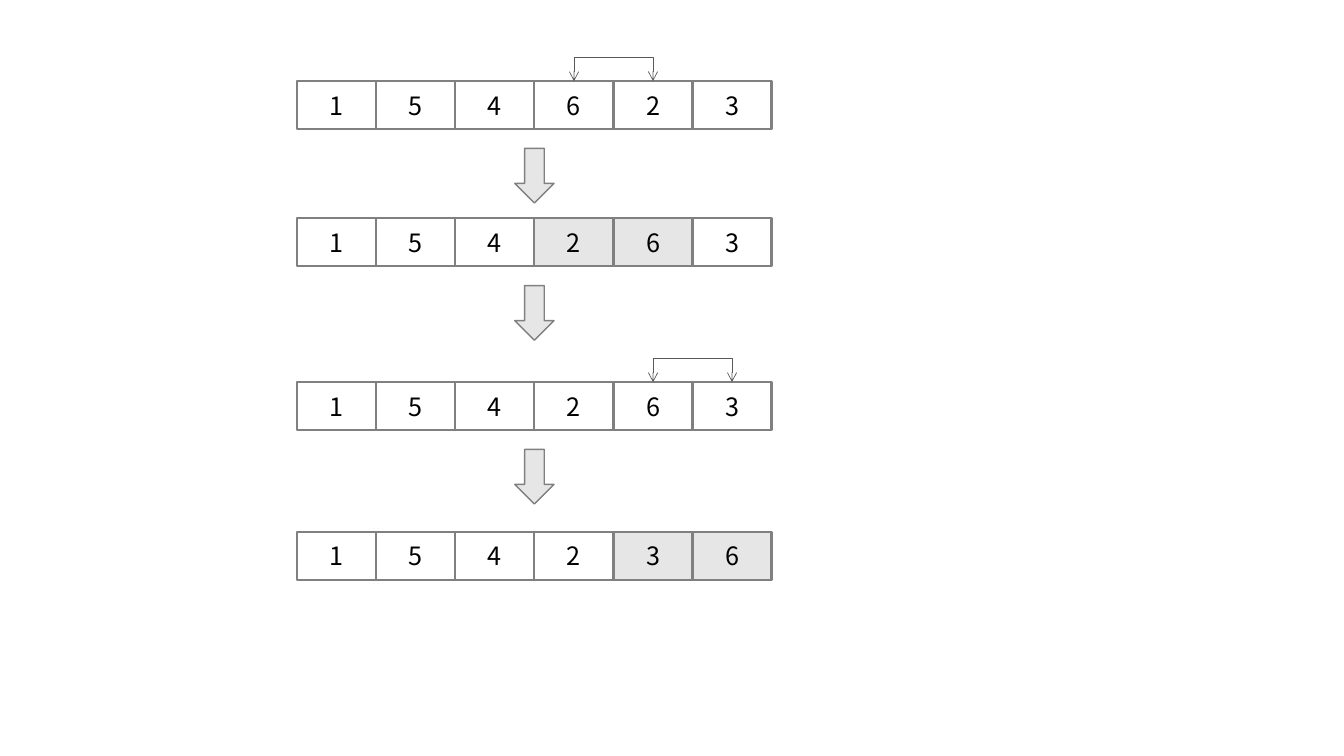
from lxml import etree
from pptx import Presentation
from pptx.dml.color import RGBColor
from pptx.enum.shapes import MSO_CONNECTOR, MSO_SHAPE
from pptx.enum.text import MSO_ANCHOR, PP_ALIGN
from pptx.oxml.ns import qn
from pptx.util import Pt

RECTANGLE, DOWN_ARROW = MSO_SHAPE.RECTANGLE, MSO_SHAPE.DOWN_ARROW
ELBOW = MSO_CONNECTOR.ELBOW
CENTER, MIDDLE = PP_ALIGN.CENTER, MSO_ANCHOR.MIDDLE

STEPS = [
    {"top": 58, "values": [1, 5, 4, 6, 2, 3], "swap": (3, 4), "swapped": ()},
    {"top": 156, "values": [1, 5, 4, 2, 6, 3], "swap": (), "swapped": (3, 4)},
    {"top": 273, "values": [1, 5, 4, 2, 6, 3], "swap": (4, 5), "swapped": ()},
    {"top": 380, "values": [1, 5, 4, 2, 3, 6], "swap": (), "swapped": (4, 5)},
]
FONT = "Noto Sans CJK KR"
WHITE, GRAY, BORDER, BRACKET, BLACK = "FFFFFF", "E7E6E6", "808080", "595959", "000000"
ARRAY_LEFT, CELL_WIDTH, CELL_HEIGHT = 212.4, 56.45, 34
ARROW_WIDTH, ARROW_HEIGHT, ARROW_OFFSET = 28, 39, 48
BRACKET_RISE, BRACKET_DEPTH = 18, 0.12


def color(value):
    return RGBColor.from_string(value)


def add_box(slide, kind, left, top, width, height, fill, line_width):
    shape = slide.shapes.add_shape(kind, Pt(left), Pt(top), Pt(width), Pt(height))
    shape.shadow.inherit = False
    shape.fill.solid()
    shape.fill.fore_color.rgb = color(fill)
    shape.line.color.rgb = color(BORDER)
    shape.line.width = Pt(line_width)
    return shape


def add_cell(slide, left, top, value, fill):
    cell = add_box(slide, RECTANGLE, left, top, CELL_WIDTH, CELL_HEIGHT, fill, 1.5)
    frame = cell.text_frame
    frame.text = str(value)
    frame.vertical_anchor = MIDDLE
    paragraph = frame.paragraphs[0]
    paragraph.alignment = CENTER
    font = paragraph.runs[0].font
    font.name = FONT
    font.size = Pt(18)
    font.color.rgb = color(BLACK)
    properties = paragraph.runs[0]._r.get_or_add_rPr()
    etree.SubElement(properties, qn("a:ea")).set("typeface", FONT)
    return cell


def add_swap_bracket(slide, first, second, top):
    connector = slide.shapes.add_connector(ELBOW, 0, 0, 0, 0)
    connector.begin_connect(first, 0)
    connector.end_connect(second, 0)
    middle = second.left
    connector.left = middle - Pt(BRACKET_DEPTH / 2)
    connector.top = Pt(top - CELL_WIDTH / 2)
    connector.width, connector.height = Pt(BRACKET_DEPTH), Pt(CELL_WIDTH)
    connector.line.color.rgb = color(BRACKET)
    connector.line.width = Pt(0.5)

    properties = connector._element.spPr
    transform = properties.find(qn("a:xfrm"))
    for name, value in (("rot", "5400000"), ("flipH", "1"), ("flipV", "1")):
        transform.set(name, value)
    guides = properties.find(qn("a:prstGeom")).find(qn("a:avLst"))
    guide = etree.SubElement(guides, qn("a:gd"))
    guide.set("name", "adj1")
    guide.set("fmla", f"val {round(BRACKET_RISE / BRACKET_DEPTH * 100000)}")
    line = properties.find(qn("a:ln"))
    for end in ("a:headEnd", "a:tailEnd"):
        etree.SubElement(line, qn(end)).set("type", "arrow")
    etree.SubElement(properties, qn("a:effectLst"))


def main():
    presentation = Presentation()
    presentation.slide_width, presentation.slide_height = Pt(960), Pt(540)
    slide = presentation.slides.add_slide(presentation.slide_layouts[6])
    array_center = ARRAY_LEFT + len(STEPS[0]["values"]) * CELL_WIDTH / 2

    for number, step in enumerate(STEPS):
        top = step["top"]
        cells = [
            add_cell(slide, ARRAY_LEFT + column * CELL_WIDTH, top, value,
                     GRAY if column in step["swapped"] else WHITE)
            for column, value in enumerate(step["values"])
        ]
        if step["swap"]:
            first, second = step["swap"]
            add_swap_bracket(slide, cells[first], cells[second], top)
        if number < len(STEPS) - 1:
            add_box(slide, DOWN_ARROW, array_center - ARROW_WIDTH / 2,
                    top + ARROW_OFFSET, ARROW_WIDTH, ARROW_HEIGHT, GRAY, 1)

    presentation.save("out.pptx")


if __name__ == "__main__":
    main()
